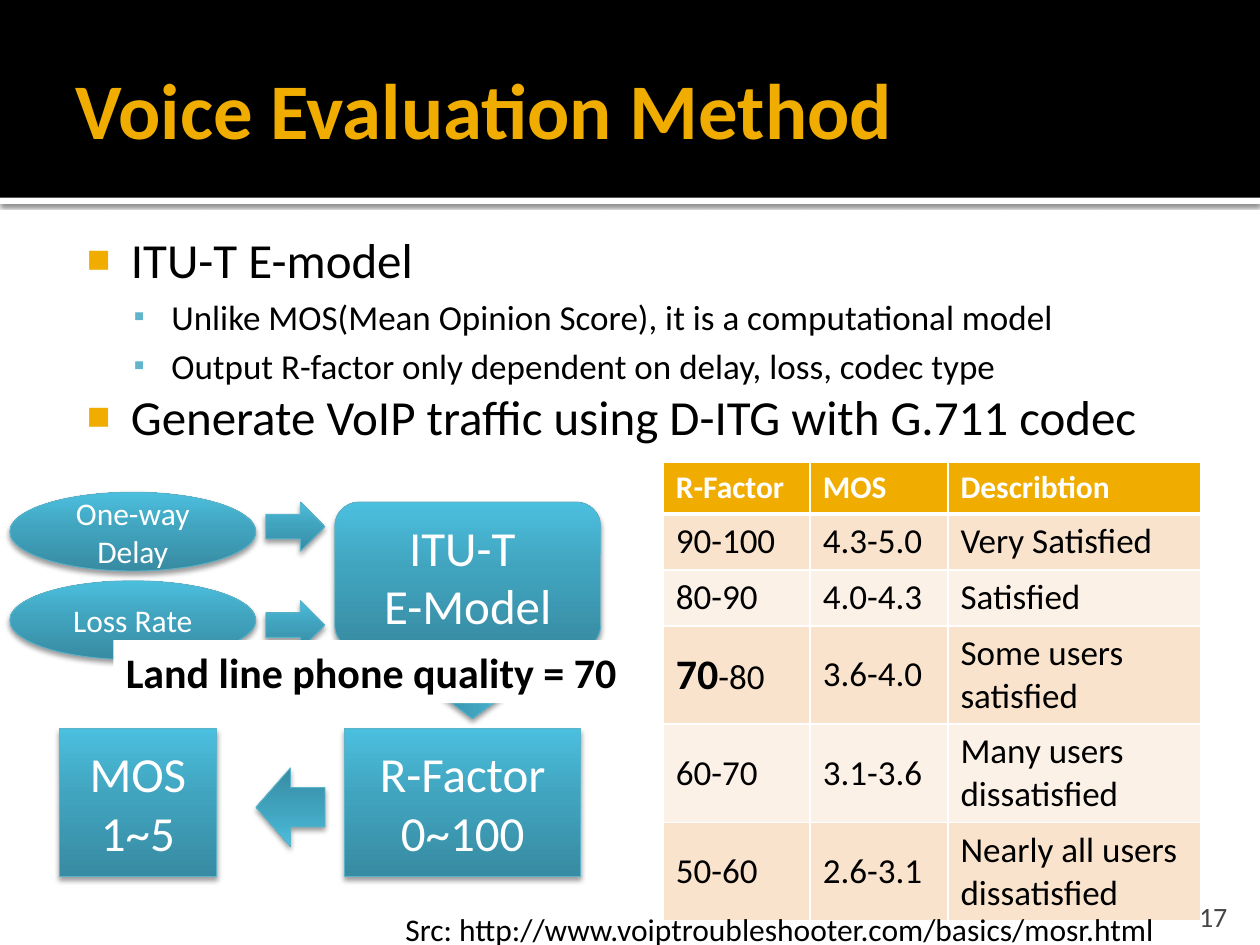
from pptx import Presentation
from pptx.dml.color import RGBColor
from pptx.enum.shapes import MSO_SHAPE as Preset
from pptx.enum.text import MSO_ANCHOR as Anchor, MSO_AUTO_SIZE as AutoSize, PP_ALIGN as Align
from pptx.oxml import parse_xml
from pptx.oxml.ns import nsdecls, qn
from pptx.util import Pt

BLACK = RGBColor(0, 0, 0)
WHITE = RGBColor(255, 255, 255)
GOLD = RGBColor(0xF0, 0xAD, 0x00)
TEAL = RGBColor(0x60, 0xB5, 0xCC)
TEAL_LINE = RGBColor(0x5B, 0xB3, 0xCA)
GRAY = RGBColor(0x45, 0x45, 0x45)
PEACH = RGBColor(0xF9, 0xE3, 0xCC)
CREAM = RGBColor(0xFC, 0xF1, 0xE7)
GRADIENT = [
    (0, RGBColor(0x37, 0x8B, 0xA2)),
    (55, RGBColor(0x41, 0xA4, 0xBF)),
    (100, RGBColor(0x4B, 0xBF, 0xDE)),
]
FONT = "Calibri"
INSETS = (7.2, 3.6, 7.2, 3.6)


class SlideBuilder:
    def __init__(self, slide):
        self.slide = slide

    def set_format(self, font, size, color, bold=False):
        for name, value in {"name": FONT, "size": Pt(size), "bold": bold}.items():
            setattr(font, name, value)
        font.color.rgb = color

    def set_frame(self, frame, anchor=Anchor.TOP, insets=INSETS, wrap=True):
        left, top, right, bottom = insets
        values = {
            "margin_left": Pt(left), "margin_top": Pt(top),
            "margin_right": Pt(right), "margin_bottom": Pt(bottom),
            "vertical_anchor": anchor, "word_wrap": wrap,
            "auto_size": AutoSize.NONE if wrap else AutoSize.SHAPE_TO_FIT_TEXT,
        }
        for name, value in values.items():
            setattr(frame, name, value)

    def set_text(self, frame, text, size, color, bold=False, align=Align.LEFT):
        frame.text = text
        for paragraph in frame.paragraphs:
            paragraph.alignment = align
            for run in paragraph.runs:
                self.set_format(run.font, size, color, bold)

    def place(self, shape, box):
        for name, value in zip(("left", "top", "width", "height"), box):
            setattr(shape, name, Pt(value))

    def title(self, text, box):
        title = self.slide.shapes.title
        self.place(title, box)
        self.set_frame(title.text_frame, Anchor.MIDDLE, (7.2, 3.6, 3.6, 3.6))
        self.set_text(title.text_frame, text, 45, GOLD, True)

    def bullets(self, items, box):
        body = self.slide.placeholders[1]
        self.place(body, box)
        frame = body.text_frame
        self.set_frame(frame, insets=(4.3, 7.2, 7.2, 3.6))
        frame.text = "\n".join(text for level, text in items)
        styles = [
            (34.5, -25.2, "■", GOLD, 80, 28, 0),
            (57.6, -21.6, "▪", TEAL, 90, 20, 4),
        ]
        for paragraph, (level, text) in zip(frame.paragraphs, items):
            margin, indent, mark, color, percent, size, before = styles[level]
            paragraph.level = level
            properties = paragraph._p.get_or_add_pPr()
            properties.set("marL", str(Pt(margin)))
            properties.set("indent", str(Pt(indent)))
            for element in (
                f'<a:buClr {nsdecls("a")}><a:srgbClr val="{color}"/></a:buClr>',
                f'<a:buSzPct {nsdecls("a")} val="{percent * 1000}"/>',
                f'<a:buFont {nsdecls("a")} typeface="Arial"/>',
                f'<a:buChar {nsdecls("a")} char="{mark}"/>',
            ):
                properties.append(parse_xml(element))
            paragraph.space_before = Pt(before)
            for run in paragraph.runs:
                self.set_format(run.font, size, BLACK)

    def shadow(self, shape, alpha, blur, distance):
        shape.shadow.inherit = False
        shape._element.spPr.find(qn("a:effectLst")).append(parse_xml(
            f'<a:outerShdw {nsdecls("a")} blurRad="{Pt(blur)}" dist="{Pt(distance)}" '
            f'dir="5400000" rotWithShape="0"><a:srgbClr val="000000">'
            f'<a:alpha val="{alpha * 1000}"/></a:srgbClr></a:outerShdw>'))

    def rectangle(self, box, color):
        shape = self.slide.shapes.add_shape(Preset.RECTANGLE, *map(Pt, box))
        shape.shadow.inherit = False
        shape.fill.solid()
        shape.fill.fore_color.rgb = color
        shape.line.fill.background()
        return shape

    def glossy(self, preset, box, text="", size=28, rotation=0):
        shape = self.slide.shapes.add_shape(preset, *map(Pt, box))
        shape.rotation = rotation
        shape.fill.gradient()
        stops = "".join(
            f'<a:gs pos="{position * 1000}"><a:srgbClr val="{color}"/></a:gs>'
            for position, color in GRADIENT)
        properties = shape._element.spPr
        properties.replace(properties.find(qn("a:gradFill")), parse_xml(
            f'<a:gradFill {nsdecls("a")} rotWithShape="1"><a:gsLst>{stops}</a:gsLst>'
            '<a:lin ang="16200000" scaled="0"/></a:gradFill>'))
        shape.line.color.rgb = TEAL_LINE
        shape.line.width = Pt(0.5)
        self.shadow(shape, 38, 3.1, 2)
        if text:
            self.set_frame(shape.text_frame, Anchor.MIDDLE)
            self.set_text(shape.text_frame, text, size, WHITE, align=Align.CENTER)

    def text_box(self, text, box, size, color, align=Align.LEFT, **frame_values):
        shape = self.slide.shapes.add_textbox(*map(Pt, box))
        self.set_frame(shape.text_frame, **frame_values)
        self.set_text(shape.text_frame, text, size, color, align=align)

    def borders(self, cell, row):
        widths = {"lnL": 1, "lnR": 1, "lnT": 3 if row == 1 else 1, "lnB": 3 if row == 0 else 1}
        properties = cell._tc.get_or_add_tcPr()
        for index, (tag, width) in enumerate(widths.items()):
            properties.insert(index, parse_xml(
                f'<a:{tag} {nsdecls("a")} w="{Pt(width)}"><a:solidFill>'
                f'<a:srgbClr val="{WHITE}"/></a:solidFill></a:{tag}>'))

    def table(self, rows, box, widths, heights):
        table = self.slide.shapes.add_table(len(rows), len(widths), *map(Pt, box)).table
        for column, width in zip(table.columns, widths):
            column.width = Pt(width)
        for row, height in zip(table.rows, heights):
            row.height = Pt(height)
        for row, values in enumerate(rows):
            for column, text in enumerate(values):
                cell = table.cell(row, column)
                cell.fill.solid()
                cell.fill.fore_color.rgb = GOLD if row == 0 else PEACH if row % 2 else CREAM
                cell.vertical_anchor = Anchor.MIDDLE if row and column < 2 else Anchor.TOP
                self.borders(cell, row)
                if row == 0:
                    self.set_text(cell.text_frame, text, 18, WHITE, True)
                else:
                    self.set_text(cell.text_frame, text, 20, BLACK)
        return table

    def emphasize_start(self, cell, start, rest):
        paragraph = cell.text_frame.paragraphs[0]
        paragraph.runs[0].text = start
        self.set_format(paragraph.runs[0].font, 24, BLACK, True)
        run = paragraph.add_run()
        run.text = rest
        self.set_format(run.font, 20, BLACK)


def main():
    presentation = Presentation()
    presentation.slide_width, presentation.slide_height = Pt(720), Pt(540)
    slide = presentation.slides.add_slide(presentation.slide_layouts[1])
    builder = SlideBuilder(slide)

    stripe = builder.rectangle((0, 113, 720, 3.6), WHITE)
    builder.shadow(stripe, 60, 2.5, 0.8)
    header = builder.rectangle((0, 0, 720, 113), BLACK)
    for shape in (header, stripe):
        slide.shapes._spTree.insert(2, shape._element)
    builder.title("Voice Evaluation Method", (36, 12.2, 648, 98.6))
    builder.bullets([
        (0, "ITU-T E-model"),
        (1, "Unlike MOS(Mean Opinion Score), it is a computational model"),
        (1, "Output R-factor only dependent on delay, loss, codec type"),
        (0, "Generate VoIP traffic using D-ITG with G.711 codec"),
    ], (36, 123.8, 648, 364.3))

    builder.glossy(Preset.ROUNDED_RECTANGLE, (191.3, 286.9, 152, 84.4), "ITU-T \nE-Model")
    for index, text in enumerate(("One-way Delay", "Loss Rate")):
        builder.glossy(Preset.OVAL, (5.6, 281.3 + 50.6 * index, 140.6, 45), text, 18)
        builder.glossy(Preset.RIGHT_ARROW, (151.9, 286.9 + 56.3 * index, 33.8, 28.1))
    builder.glossy(Preset.RIGHT_ARROW, (253.1, 371.3, 33.8, 45), rotation=90)
    builder.glossy(Preset.RECTANGLE, (196.9, 416.3, 135, 84.4), "R-Factor\n0~100")
    builder.glossy(Preset.RIGHT_ARROW, (146.3, 438.8, 39.4, 45), rotation=180)
    builder.glossy(Preset.RECTANGLE, (33.8, 416.3, 90, 84.4), "MOS\n1~5")

    builder.text_box("17", (650.9, 511.9, 57.6, 21.6), 16, GRAY, Align.RIGHT,
                     anchor=Anchor.BOTTOM, insets=(7.2, 3.6, 7.2, 0))
    table = builder.table([
        ("R-Factor", "MOS", "Describtion"),
        ("90-100", "4.3-5.0", "Very Satisfied"),
        ("80-90", "4.0-4.3", "Satisfied"),
        ("70-80", "3.6-4.0", "Some users satisfied"),
        ("60-70", "3.1-3.6", "Many users dissatisfied"),
        ("50-60", "2.6-3.1", "Nearly all users dissatisfied"),
    ], (379, 264.2, 307.2, 261.5), (84, 78.7, 144.5), (29.5, 32, 32, 56, 56, 56))
    builder.emphasize_start(table.cell(3, 0), "70", "-80")

    builder.text_box("Src: http://www.voiptroubleshooter.com/basics/mosr.html",
                     (224.6, 516.2, 450, 29), 18, BLACK, wrap=False)
    callout = builder.rectangle((64.8, 365.8, 306.7, 36), WHITE)
    builder.set_frame(callout.text_frame, wrap=False)
    builder.set_text(callout.text_frame, "Land line phone quality = 70", 24, BLACK, True)
    presentation.save("out.pptx")


if __name__ == "__main__":
    main()
